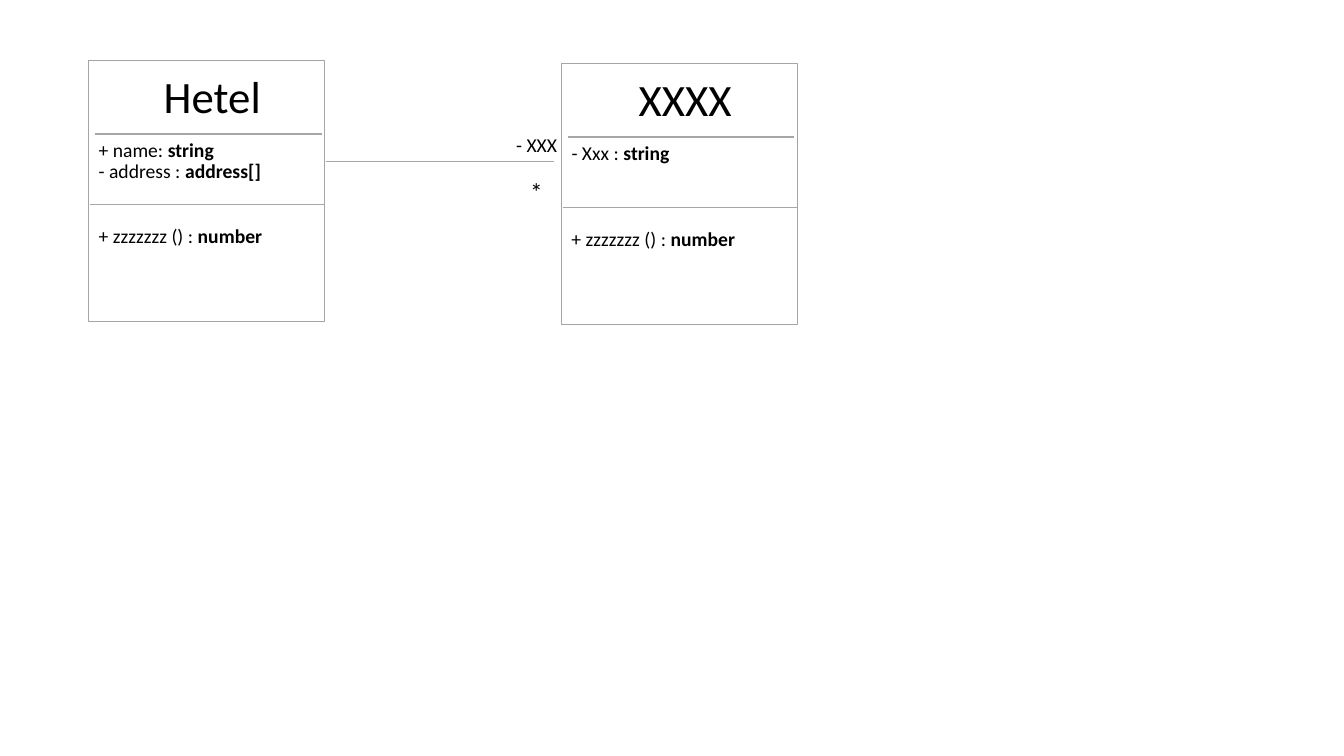
import pptx
import pptx.dml.color
import pptx.enum.shapes
import pptx.enum.text
import pptx.oxml.ns
import pptx.util
from dataclasses import dataclass
from lxml import etree

Inches = pptx.util.Inches
Pt = pptx.util.Pt


@dataclass(frozen=True)
class Theme:
    font: str = "Calibri"
    text: str = "000000"
    fill: str = "FFFFFF"
    border: str = "A5A5A5"
    rule: str = "A6A6A6"
    line_width: float = 1
    name_size: int = 32
    member_size: int = 14
    multiplicity_size: int = 18


def rgb(value):
    return pptx.dml.color.RGBColor.from_string(value)


class ClassDiagram:
    """Draws UML class boxes and associations on one slide."""

    box_width, box_height = 2.34, 2.59

    def __init__(self, slide, theme):
        self.shapes = slide.shapes
        self.theme = theme

    def box(self, x, y, w, h):
        s = self.shapes.add_shape(
            pptx.enum.shapes.MSO_SHAPE.RECTANGLE,
            Inches(x), Inches(y), Inches(w), Inches(h))
        s.shadow.inherit = False
        s.fill.solid()
        s.fill.fore_color.rgb = rgb(self.theme.fill)
        s.line.color.rgb = rgb(self.theme.border)
        s.line.width = Pt(self.theme.line_width)

    def rule(self, x1, x2, y):
        s = self.shapes.add_connector(
            pptx.enum.shapes.MSO_CONNECTOR.STRAIGHT,
            Inches(x1), Inches(y), Inches(x2), Inches(y))
        s.line.color.rgb = rgb(self.theme.rule)
        s.line.width = Pt(self.theme.line_width)
        etree.SubElement(s._element.spPr, pptx.oxml.ns.qn("a:effectLst"))

    def label(self, x, y, w, h, size, text, bold_text=""):
        s = self.shapes.add_textbox(Inches(x), Inches(y), Inches(w), Inches(h))
        tf = s.text_frame
        tf.word_wrap = False
        tf.auto_size = pptx.enum.text.MSO_AUTO_SIZE.SHAPE_TO_FIT_TEXT
        p = tf.paragraphs[0]
        p.font.name = self.theme.font
        p.font.size = Pt(size)
        p.font.color.rgb = rgb(self.theme.text)
        p.add_run().text = text
        if bold_text:
            r = p.add_run()
            r.text = bold_text
            r.font.bold = True

    def member(self, x, y, w, text, type_name=""):
        self.label(x, y, w, 0.34, self.theme.member_size, text, type_name)

    def class_box(self, x, y, name, name_width, attributes, method):
        self.box(x, y, self.box_width, self.box_height)
        # Name compartment
        self.label(x + 1.23 - name_width / 2, y + 0.03, name_width, 0.64,
                   self.theme.name_size, name)
        self.rule(x + 0.06, x + 2.31, y + 0.73)
        # Attribute compartment
        for i, (width, text, type_name) in enumerate(attributes):
            self.member(x, y + 0.72 + 0.21 * i, width, text, type_name)
        self.rule(x + 0.01, x + self.box_width, y + 1.43)
        # Method compartment
        width, text, type_name = method
        self.member(x, y + 1.57, width, text, type_name)

    def association(self, x1, x2, y, role, multiplicity):
        self.rule(x1, x2, y)
        self.label(x2 - 0.33, y + 0.1, 0.33, 0.4,
                   self.theme.multiplicity_size, multiplicity)
        self.member(x2 - 0.47, y - 0.33, 0.61, role)


def main():
    prs = pptx.Presentation()
    prs.slide_width, prs.slide_height = Inches(13.33), Inches(7.5)
    blank_layout = prs.slide_layouts[6]
    diagram = ClassDiagram(prs.slides.add_slide(blank_layout), Theme())
    method = (1.83, "+ zzzzzzz () : ", "number")

    # Owner class
    diagram.class_box(0.88, 0.6, "Hetel", 1.17, [
        (1.4, "+ name: ", "string"),
        (1.82, "- address : ", "address[]"),
    ], method)

    # Association between the classes
    diagram.association(3.23, 5.49, 1.6, "- XXX", "*")

    # Associated class
    diagram.class_box(5.57, 0.63, "XXXX", 1.13, [
        (1.18, "- Xxx : ", "string"),
    ], method)

    prs.save("out.pptx")


if __name__ == "__main__":
    main()
